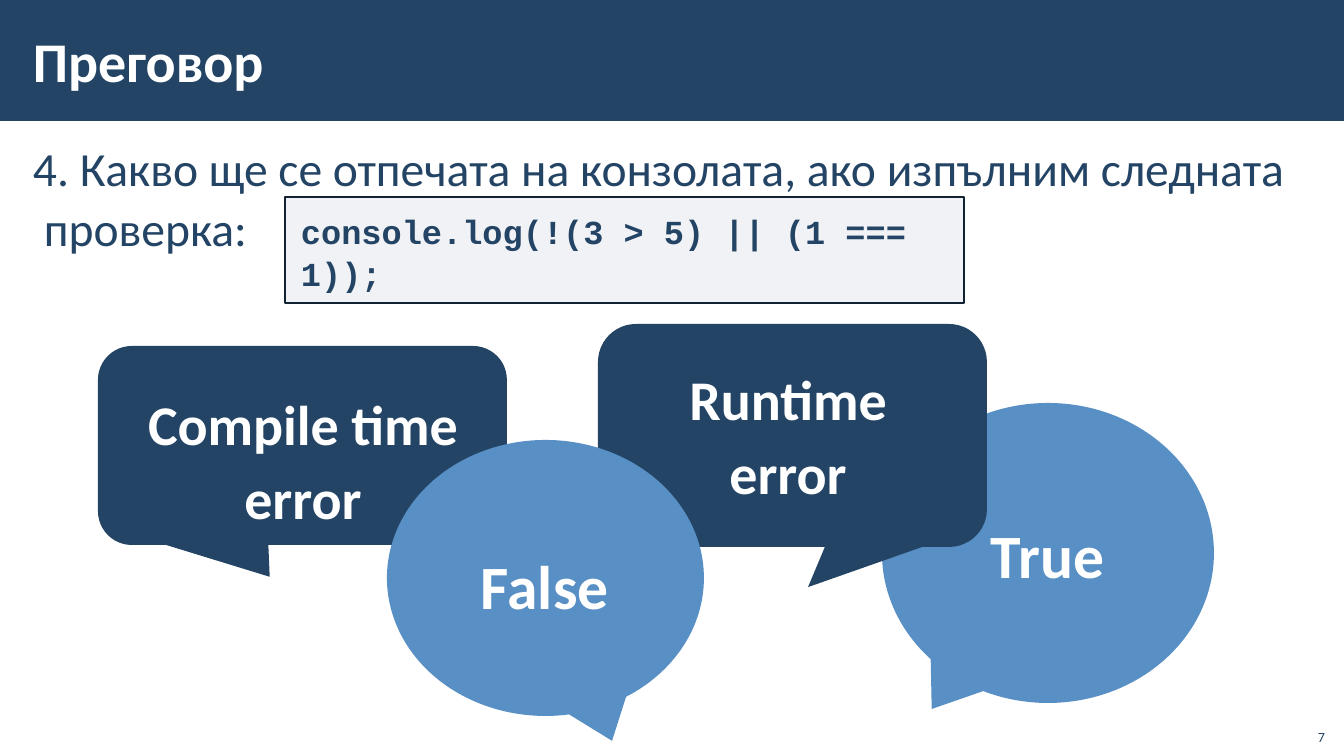
from lxml import etree
from pptx import Presentation
from pptx.dml.color import RGBColor
from pptx.enum.shapes import MSO_SHAPE
from pptx.enum.text import MSO_ANCHOR, MSO_AUTO_SIZE, PP_ALIGN
from pptx.oxml.ns import qn
from pptx.util import Pt

NAVY = RGBColor(0x23, 0x44, 0x65)
BLUE = RGBColor(0x58, 0x8F, 0xC5)
GREY = RGBColor(0xA3, 0xAB, 0xBC)
INK = RGBColor(0x11, 0x22, 0x33)
WHITE = RGBColor(0xFF, 0xFF, 0xFF)

RECT = MSO_SHAPE.RECTANGLE
ROUND = MSO_SHAPE.ROUNDED_RECTANGULAR_CALLOUT
OVAL = MSO_SHAPE.OVAL_CALLOUT
TOP, MIDDLE, BOTTOM = MSO_ANCHOR.TOP, MSO_ANCHOR.MIDDLE, MSO_ANCHOR.BOTTOM
LEFT, CENTER, RIGHT = PP_ALIGN.LEFT, PP_ALIGN.CENTER, PP_ALIGN.RIGHT
FIXED = MSO_AUTO_SIZE.NONE

SCALE = 914400 / 100.8


def px(*sizes):
    return [round(size * SCALE) for size in sizes]


class Deck:
    def __init__(self, width, height):
        self.prs = Presentation()
        self.prs.slide_width, self.prs.slide_height = px(width, height)
        self.slide = self.prs.slides.add_slide(self.prs.slide_layouts[1])
        self.shapes = self.slide.shapes

    def label(self, shape, text, size, color=WHITE, font="Calibri", bold=True,
              align=LEFT, anchor=TOP, pad=(16, 12), space=1.0, hang=0):
        """Fill the shape with one paragraph; hang indents its later lines."""
        frame = shape.text_frame
        frame.word_wrap = True
        frame.auto_size = FIXED
        frame.vertical_anchor = anchor
        across, down = px(*pad)
        frame.margin_left = frame.margin_right = across
        frame.margin_top = frame.margin_bottom = down
        para = frame.paragraphs[0]
        para.alignment = align
        para.line_spacing = space
        para.space_before = para.space_after = Pt(0)
        props = para._p.get_or_add_pPr()
        shift = px(hang)[0]
        props.set("marL", str(shift))
        props.set("indent", str(-shift))
        etree.SubElement(props, qn("a:buNone"))
        run = para.add_run()
        run.text = text
        run.font.name = font
        run.font.size = Pt(size)
        run.font.bold = bold
        run.font.color.rgb = color

    def holder(self, index, place, text, size, **style):
        shape = self.slide.placeholders[index]
        shape.left, shape.top, shape.width, shape.height = px(*place)
        self.label(shape, text, size, **style)

    def shape(self, kind, place, fill, adjust=(), home=None):
        shape = (home or self.shapes).add_shape(kind, *px(*place))
        shape.shadow.inherit = False
        shape.fill.solid()
        shape.fill.fore_color.rgb = fill
        shape.line.fill.background()
        for index, value in enumerate(adjust):
            shape.adjustments[index] = value
        return shape

    def band(self, place):
        """Draw the title band behind everything else."""
        band = self.shape(RECT, place, NAVY)
        band._element.getparent().insert(2, band._element)

    def code(self, place, text):
        box = self.shape(RECT, place, GREY)
        tint = box._element.spPr.find(qn("a:solidFill"))[0]
        etree.SubElement(tint, qn("a:alpha"), val="15000")
        box.line.color.rgb = INK
        box.line.width = Pt(1)
        self.label(box, text, 24, color=NAVY, font="Courier New", space=1.05)

    def text(self, place, text, size, home=None, **style):
        box = (home or self.shapes).add_textbox(*px(*place))
        self.label(box, text, size, **style)

    def bubble(self, kind, place, fill, adjust, spot, text, size, **style):
        """Group a callout with the answer set over it."""
        home = self.shapes.add_group_shape().shapes
        self.shape(kind, place, fill, adjust, home)
        self.text(spot, text, size, home, **style)


def main():
    deck = Deck(1344, 756)
    deck.band((0, 0, 1344, 121))
    deck.holder(0, (21, 11, 1072, 98), "Преговор", 40, anchor=MIDDLE, pad=(12, 4))
    deck.holder(1, (21, 132, 1302, 613),
                "4. Какво ще се отпечата на конзолата, ако изпълним следната проверка:",
                34, color=NAVY, bold=False, pad=(12, 4), space=1.05, hang=11)
    deck.code((285, 197, 679, 106), "console.log(!(3 > 5) || (1 === 1));")

    deck.bubble(ROUND, (98, 346, 409, 199), NAVY, (-0.08, 0.66, 0.17),
                (128, 371, 350, 175), "Compile time error", 40,
                align=CENTER, space=1.1)
    deck.bubble(OVAL, (882, 403, 332, 300), BLUE, (-0.35, 0.52),
                (975, 505, 204, 99), "True", 44)
    deck.bubble(ROUND, (598, 324, 389, 223), NAVY, (0.04, 0.68, 0.17),
                (639, 346, 298, 169), "Runtime error", 40,
                align=CENTER, space=1.1)
    deck.bubble(OVAL, (387, 440, 317, 276), BLUE, (0.21, 0.59),
                (465, 529, 185, 102), "False", 44, space=1.1)

    deck.text((1295, 718, 40, 32), "7", 10, color=NAVY, bold=False,
              align=RIGHT, anchor=BOTTOM, pad=(10, 5))
    deck.prs.save("out.pptx")


if __name__ == "__main__":
    main()
